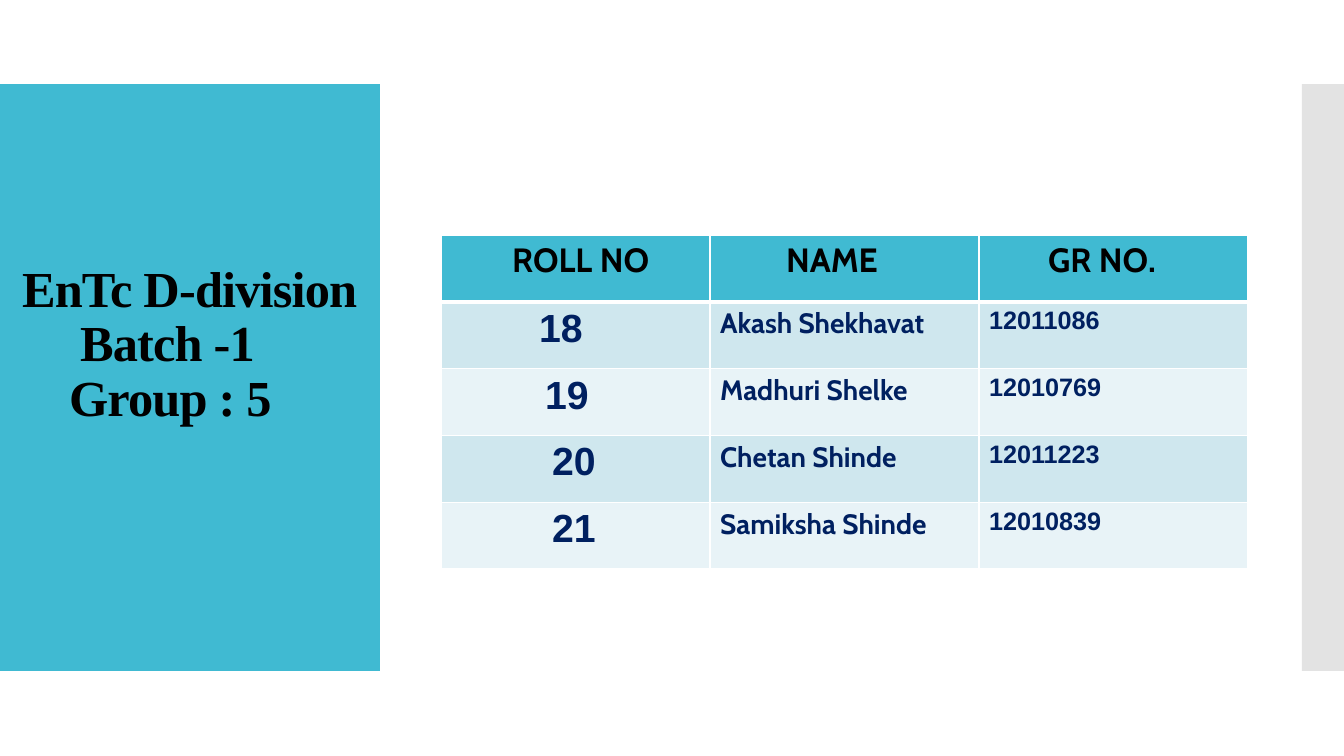
"""Build the group slide: a title panel beside a table of members."""
import pptx
import pptx.dml.color
import pptx.enum.shapes
import pptx.enum.text
import pptx.oxml
import pptx.oxml.ns
import pptx.util

PX = 914400 / 100.8
THEME = {
    "accent": "40BAD2", "edge": "C8C8C8", "rule": "FFFFFF",
    "bands": ("CFE7EE", "E8F3F7"),
    "title": {"name": "Times New Roman", "size": 36, "bold": True, "color": "000000"},
    "header": {"name": "Cabin", "size": 24, "bold": True, "color": "000000"},
    "columns": (
        {"name": "Arial", "size": 28, "bold": True, "color": "002060"},
        {"name": "Cabin", "size": 20, "bold": True, "color": "002060"},
        {"name": "Arial", "size": 18, "bold": True, "color": "002060"},
    ),
}


def px(*lengths):
    return [round(length * PX) for length in lengths]


def write(paragraph, text, style, indent):
    run = paragraph.add_run()
    run.text = text
    for key, value in style.items():
        if key == "color":
            run.font.color.rgb = pptx.dml.color.RGBColor.from_string(value)
        else:
            setattr(run.font, key, pptx.util.Pt(value) if key == "size" else value)
    paragraph.alignment = pptx.enum.text.PP_ALIGN.LEFT
    properties = paragraph._p.get_or_add_pPr()
    properties.set("marL", str(px(indent)[0]))
    properties.set("indent", "0")
    return run


deck = pptx.Presentation()
deck.slide_width, deck.slide_height = px(1344, 756)
slide = deck.slides.add_slide(deck.slide_layouts[5])
namespace = pptx.oxml.ns.nsdecls("a")

for box, color, opacity in (
    ((0, 84, 380, 587), THEME["accent"], 100),
    ((1302, 84, 42, 587), THEME["edge"], 50),
):
    panel = slide.shapes.add_shape(pptx.enum.shapes.MSO_SHAPE.RECTANGLE, *px(*box))
    panel.shadow.inherit = False
    panel.line.fill.background()
    panel.fill.solid()
    panel.fill.fore_color.rgb = pptx.dml.color.RGBColor.from_string(color)
    if opacity < 100:
        panel.element.spPr.find(".//" + pptx.oxml.ns.qn("a:srgbClr")).append(
            pptx.oxml.parse_xml(f'<a:alpha {namespace} val="{opacity * 1000}"/>'))

group = slide.shapes.title
slide.shapes.element.append(group.element)
group.left, group.top, group.width, group.height = px(0, 139, 388, 413)
frame_format = {
    "word_wrap": True,
    "auto_size": pptx.enum.text.MSO_AUTO_SIZE.NONE,
    "vertical_anchor": pptx.enum.text.MSO_ANCHOR.MIDDLE,
}
for key, value in frame_format.items():
    setattr(group.text_frame, key, value)
group_lines = (("EnTc D-division", 12), ("Batch -1", 70), ("Group : 5", 59))
for position, (text, indent) in enumerate(group_lines):
    frame = group.text_frame
    paragraph = frame.add_paragraph() if position else frame.paragraphs[0]
    paragraph.line_spacing = 0.9
    paragraph.space_before = pptx.util.Pt(0)
    run = write(paragraph, text, THEME["title"], indent)
    run.font._element.set("spc", "-60")

members = (
    (("ROLL NO", 61), ("NAME", 66), ("GR NO.", 59)),
    (("18", 88), ("Akash Shekhavat", 0), ("12011086", 0)),
    (("19", 94), ("Madhuri Shelke", 0), ("12010769", 0)),
    (("20", 101), ("Chetan Shinde", 0), ("12011223", 0)),
    (("21", 101), ("Samiksha Shinde", 0), ("12010839", 0)),
)
roster = slide.shapes.add_table(5, 3, *px(441, 235, 807, 334)).table
for column in roster.columns:
    column.width = px(269)[0]
for row_number, member in enumerate(members):
    for column_number, (text, indent) in enumerate(member):
        cell = roster.cell(row_number, column_number)
        header = row_number == 0
        style = THEME["header"] if header else THEME["columns"][column_number]
        fill = THEME["accent"] if header else THEME["bands"][(row_number - 1) % 2]
        write(cell.text_frame.paragraphs[0], text, style, indent)
        widths = {"L": 1, "R": 1, "T": 3 if row_number == 1 else 1, "B": 3 if header else 1}
        for side, width in widths.items():
            cell._tc.get_or_add_tcPr().append(pptx.oxml.parse_xml(
                f'<a:ln{side} {namespace} w="{pptx.util.Pt(width)}"><a:solidFill>'
                f'<a:srgbClr val="{THEME["rule"]}"/></a:solidFill></a:ln{side}>'))
        cell.fill.solid()
        cell.fill.fore_color.rgb = pptx.dml.color.RGBColor.from_string(fill)

deck.save("out.pptx")
